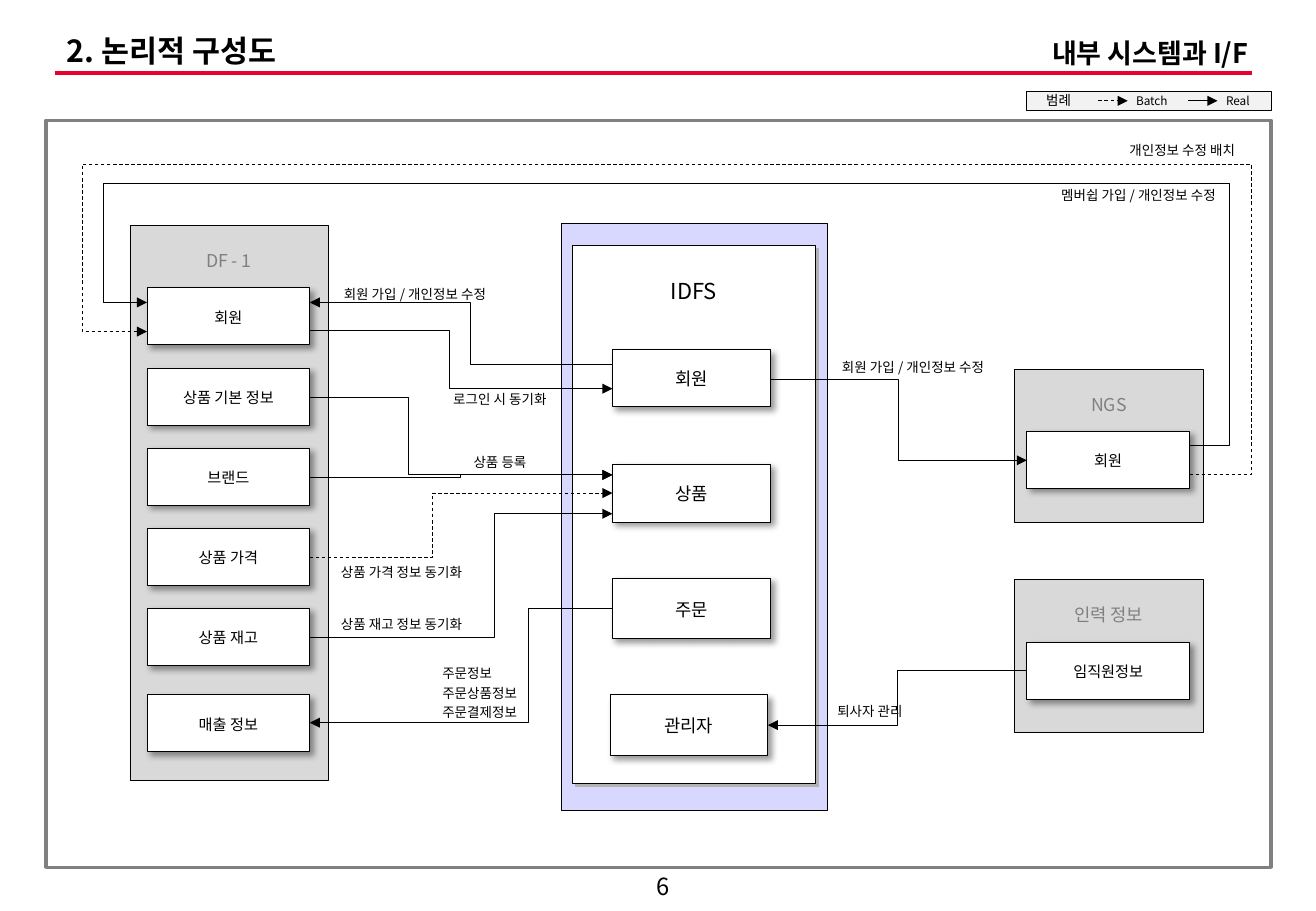
import dataclasses
import typing

import lxml.etree
import pptx
import pptx.dml.color
import pptx.enum.dml
import pptx.enum.shapes
import pptx.enum.text
import pptx.oxml
import pptx.oxml.ns
import pptx.util

Inches = pptx.util.Inches
Pt = pptx.util.Pt
ALIGN = pptx.enum.text.PP_ALIGN
ANCHOR = pptx.enum.text.MSO_ANCHOR
LINK = pptx.enum.shapes.MSO_CONNECTOR


def paint(code):
    """Turn a hex string into a colour."""
    return pptx.dml.color.RGBColor.from_string(code)


def child(node, tag, **attrs):
    """Append a drawing element with attributes to a node."""
    item = lxml.etree.SubElement(node, pptx.oxml.ns.qn(tag))
    for key, value in attrs.items():
        item.set(key, str(value))
    return item


@dataclasses.dataclass
class Board:
    """Hold the style and the current slide."""
    slide: typing.Any
    font: str = "Noto Sans CJK KR"
    ink: str = "000000"
    thin: float = 0.5

    def letter(self, frame, text, size, color=None, bold=False, align=ALIGN.CENTER,
               anchor=ANCHOR.TOP, inset=(0, 0, 0, 0), wrap=True, pitch=0.9, gap=0):
        """Fill a text frame, one paragraph for each line."""
        frame.word_wrap = wrap
        frame.vertical_anchor = anchor
        (frame.margin_left, frame.margin_top,
         frame.margin_right, frame.margin_bottom) = map(Inches, inset)
        for row, line in enumerate(text.split("\n")):
            para = frame.add_paragraph() if row else frame.paragraphs[0]
            para.alignment = align
            para.line_spacing = pitch
            para.space_before = Pt(gap if row else 0)
            run = para.add_run()
            run.text = line
            run.font.size = Pt(size)
            run.font.bold = bold
            run.font.name = self.font
            run.font.color.rgb = paint(color or self.ink)
            child(run.font._element, "a:ea", typeface=self.font)

    def title(self, text, place, size):
        """Move and fill the title placeholder."""
        shape = self.slide.shapes.title
        shape.left, shape.top, shape.width, shape.height = map(Inches, place)
        self.letter(shape.text_frame, text, size, bold=True, align=ALIGN.LEFT,
                    anchor=ANCHOR.MIDDLE, inset=(0.1, 0.05, 0.1, 0.05))

    def text(self, text, place, size, **style):
        """Add a text box."""
        box = self.slide.shapes.add_textbox(*map(Inches, place))
        self.letter(box.text_frame, text, size, **style)

    def label(self, text, place, align=ALIGN.CENTER):
        """Add a small caption beside a flow."""
        self.text(text, place, 8, align=align, wrap=False, pitch=Pt(9), gap=2.8)

    def rect(self, place, fill=None, line=None, width=None, alpha=None, shade=None):
        """Add a rectangle; shade is colour, alpha, blur and distance."""
        kind = pptx.enum.shapes.MSO_SHAPE.RECTANGLE
        shape = self.slide.shapes.add_shape(kind, *map(Inches, place))
        shape.shadow.inherit = False
        shape.line.color.rgb = paint(line or self.ink)
        shape.line.width = Pt(width or self.thin)
        if fill:
            shape.fill.solid()
            shape.fill.fore_color.rgb = paint(fill)
        else:
            shape.fill.background()
        props = shape._element.spPr
        if alpha:
            child(props.find(".//" + pptx.oxml.ns.qn("a:srgbClr")), "a:alpha", val=alpha * 1000)
        if shade:
            color, cover, blur, dist = shade
            cast = child(props.find(pptx.oxml.ns.qn("a:effectLst")), "a:outerShdw",
                         blurRad=Pt(blur), dist=Pt(dist), dir=45 * 60000,
                         algn="tl", rotWithShape=0)
            child(child(cast, "a:srgbClr", val=color), "a:alpha", val=cover * 1000)
        return shape

    def group(self, text, place):
        """Add a grey system panel with its name at the top."""
        shape = self.rect(place, "D9D9D9")
        self.letter(shape.text_frame, text, 10.5, "808080", inset=(0.02, 0.22, 0.02, 0.05))

    def card(self, text, place, size=9):
        """Add a white box with a soft shadow."""
        shape = self.rect(place, "FFFFFF", shade=(self.ink, 40, 4, 3))
        self.letter(shape.text_frame, text, size, anchor=ANCHOR.MIDDLE,
                    inset=(0.02, 0.08, 0.02, 0.05))

    def link(self, start, end, bends=(), dash=False, color=None, width=None, arrow=True):
        """Join two points; bends are the turning x, or x, y, x."""
        kind = LINK.ELBOW if bends else LINK.STRAIGHT
        wire = self.slide.shapes.add_connector(kind, *map(Inches, start + end))
        wire.line.color.rgb = paint(color or self.ink)
        wire.line.width = Pt(width or self.thin)
        if dash:
            wire.line.dash_style = pptx.enum.dml.MSO_LINE.DASH
        props = wire._element.spPr
        if arrow:
            child(props.find(pptx.oxml.ns.qn("a:ln")), "a:tailEnd", type="triangle")
        child(props, "a:effectLst")
        if bends:
            shape = props.find(pptx.oxml.ns.qn("a:prstGeom"))
            shape.set("prst", f"bentConnector{len(bends) + 2}")
            guides = shape.get_or_add_avLst()
            for spot, bend in enumerate(bends):
                side = spot % 2
                ratio = (bend - start[side]) / (end[side] - start[side])
                child(guides, "a:gd", name=f"adj{spot + 1}", fmla=f"val {round(ratio * 100000)}")


deck = pptx.Presentation()
deck.slide_width, deck.slide_height = Inches(10.83), Inches(7.5)
board = Board(deck.slides.add_slide(deck.slide_layouts[5]))

# Heading and page number
board.text("6", (5.1, 7.14, 0.71, 0.31), 14, anchor=ANCHOR.MIDDLE, pitch=1)
board.link((0.45, 0.6), (10.3, 0.6), color="EA002C", width=2.25, arrow=False)
board.title("2. 논리적 구성도", (0.45, 0.25, 9.53, 0.37), 18)
board.text("내부 시스템과 I/F", (7.63, 0.25, 2.74, 0.37), 16, bold=True,
           align=ALIGN.RIGHT, inset=(0.1, 0.05, 0.1, 0.05), pitch=1)

# Legend
legend = board.rect((8.45, 0.75, 2.01, 0.16), "F2F2F2")
board.letter(legend.text_frame, "범례", 8, align=ALIGN.LEFT, anchor=ANCHOR.MIDDLE,
             inset=(0.16, 0, 0.02, 0))
for name, left, dash in (("Batch", 9.04, True), ("Real", 9.78, False)):
    board.link((left, 0.83), (left + 0.24, 0.83), dash=dash)
    board.text(name, (left + 0.31, 0.77, 0.26, 0.12), 7, align=ALIGN.LEFT, wrap=False, pitch=1)

# Systems
board.rect((0.38, 0.99, 10.08, 6.15), line="808080", width=2)
board.group("DF - 1", (1.07, 1.86, 1.63, 4.57))
board.group("NGS", (8.35, 3.04, 1.55, 1.26))
board.group("인력 정보", (8.35, 4.77, 1.55, 1.26))
board.rect((4.62, 1.84, 2.19, 4.83), "CCCCFF", alpha=76)
core = board.rect((4.71, 2.02, 2, 4.43), "FFFFFF", shade=("B2B2B2", 100, 0, 2.8))
board.letter(core.text_frame, "IDFS", 13, inset=(0.02, 0.29, 0.02, 0.05))

# Functions of each system
parts = ("회원", "상품 기본 정보", "브랜드", "상품 가격", "상품 재고")
for row, name in enumerate(parts):
    board.card(name, (1.21, 2.37 + 0.66 * row, 1.34, 0.47))
board.card("매출 정보", (1.21, 5.72, 1.34, 0.47))
board.card("회원", (8.45, 3.55, 1.34, 0.47))
board.card("임직원정보", (8.45, 5.29, 1.34, 0.47))
for name, left, top, height in (("회원", 5.04, 2.88, 0.47), ("상품", 5.04, 3.82, 0.48),
                                ("주문", 5.04, 4.76, 0.5), ("관리자", 5.02, 5.72, 0.5)):
    board.card(name, (left, top, 1.3, height), 10.5)

# Flows between DF - 1 and IDFS: height at each end, turning x, dashed
west, east = 2.55, 5.04
for begin, end, turn, dash in ((2.72, 3.2, 3.7, False), (3.27, 3.91, 3.36, False),
                               (3.93, 3.91, 3.79, False), (4.59, 4.06, 3.56, True),
                               (5.25, 4.23, 4.07, False)):
    board.link((west, begin), (east, end), (turn,), dash)
for begin, end, turn in ((3, 2.49, 3.87), (5.01, 5.95, 4.35)):
    board.link((east, begin), (west, end), (turn,))

# Flows with NGS and staff data
board.link((6.34, 3.12), (8.45, 3.79), (7.39,))
board.link((8.45, 5.52), (6.32, 5.97), (7.39,))
board.link((9.79, 3.67), (1.21, 2.49), (10.12, 1.51, 0.85))
board.link((9.79, 3.91), (1.21, 2.73), (10.3, 1.35, 0.68), dash=True)

# Captions of the flows
for name, left, top, width in (("회원 가입 / 개인정보 수정", 2.75, 2.36, 1.33),
                               ("로그인 시 동기화", 3.68, 3.23, 0.87),
                               ("상품 등록", 3.87, 3.75, 0.49),
                               ("상품 가격 정보 동기화", 2.74, 4.65, 1.13),
                               ("상품 재고 정보 동기화", 2.74, 5.08, 1.13),
                               ("회원 가입 / 개인정보 수정", 6.85, 2.96, 1.33),
                               ("멤버쉽 가입 / 개인정보 수정", 8.65, 1.55, 1.44),
                               ("개인정보 수정 배치", 9.24, 1.18, 0.98),
                               ("퇴사자 관리", 6.86, 5.8, 0.6)):
    board.label(name, (left, top, width, 0.13))
board.label("주문정보\n주문상품정보\n주문결제정보", (3.64, 5.48, 0.67, 0.47), ALIGN.LEFT)

deck.save("out.pptx")
